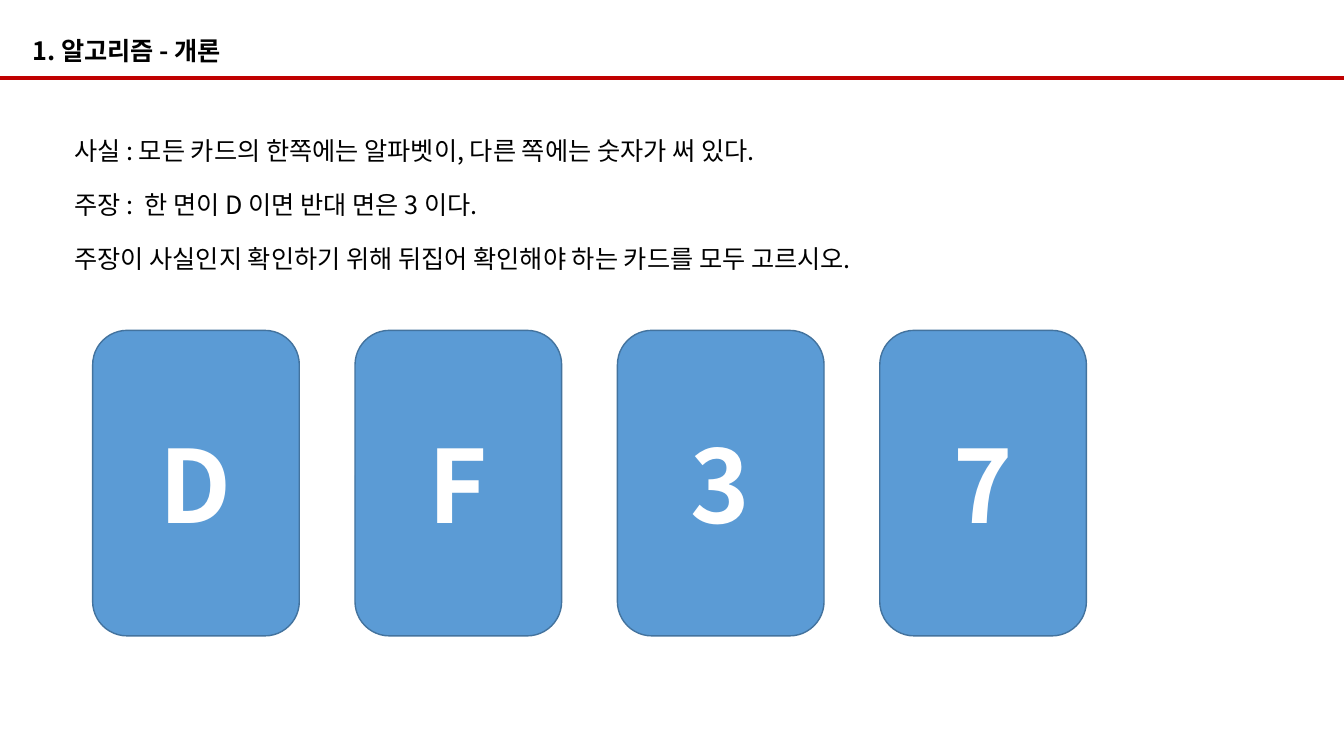
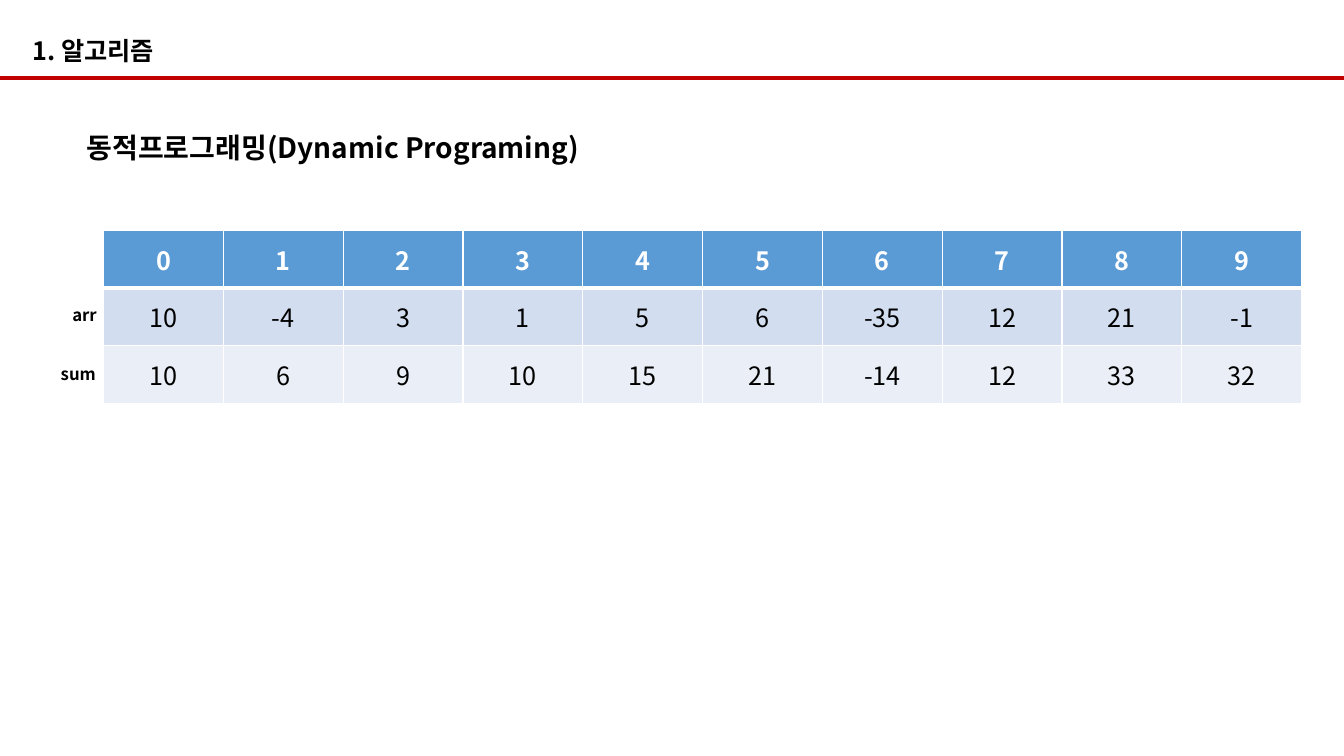
import dataclasses
from typing import Any

import lxml.etree
import pptx
import pptx.dml.color
import pptx.enum.shapes
import pptx.enum.text
import pptx.oxml
import pptx.oxml.ns
import pptx.util

Pt = pptx.util.Pt
ALIGN = pptx.enum.text.PP_ALIGN
MIDDLE = pptx.enum.text.MSO_ANCHOR.MIDDLE


@dataclasses.dataclass(frozen=True)
class Theme:
    font: str = "Noto Sans CJK KR"
    ink: str = "000000"
    white: str = "FFFFFF"
    rule: str = "C00000"
    blue: str = "5B9BD5"
    outline: str = "43739E"
    bands: tuple[str, str] = ("D2DEEF", "EAEFF7")
    label: float = 12
    body: float = 18
    heading: float = 20
    card: float = 72


@dataclasses.dataclass(frozen=True)
class Frame:
    left: float
    top: float
    width: float
    height: float

    def lengths(self) -> tuple[Any, ...]:
        return tuple(Pt(value) for value in dataclasses.astuple(self))


@dataclasses.dataclass(frozen=True)
class TextStyle:
    size: float
    color: str
    bold: bool = False
    align: Any = ALIGN.LEFT


@dataclasses.dataclass(frozen=True)
class Label:
    text: str
    frame: Frame


THEME = Theme()
PAGE_WIDTH = 960
PAGE_HEIGHT = 540
TITLE_FRAME = Frame(16, 21.6, 198, 28.8)
TITLE_STYLE = TextStyle(THEME.body, THEME.ink, True)
BODY_STYLE = TextStyle(THEME.body, THEME.ink)
HEADING_STYLE = TextStyle(THEME.heading, THEME.ink, True)
CARD_STYLE = TextStyle(THEME.card, THEME.white, True, ALIGN.CENTER)
LABEL_STYLE = TextStyle(THEME.label, THEME.ink, True, ALIGN.RIGHT)
HEADER_STYLE = TextStyle(THEME.body, THEME.white, True, ALIGN.CENTER)
CELL_STYLE = TextStyle(THEME.body, THEME.ink, False, ALIGN.CENTER)

RULE_TOP = 55.6
PARAGRAPH_GAP = 17
FIRST_CARD = Frame(66.2, 236, 147.6, 218.2)
CARD_PITCH = 187.4
CARDS = "DF37"
STATEMENTS = (
    "사실 : 모든 카드의 한쪽에는 알파벳이, 다른 쪽에는 숫자가 써 있다.",
    "주장 :  한 면이 D 이면 반대 면은 3 이다.",
    "주장이 사실인지 확인하기 위해 뒤집어 확인해야 하는 카드를 모두 고르시오.",
)
TABLE_FRAME = Frame(74, 164.4, 856, 123.6)
TABLE_ROWS = (
    tuple(range(10)),
    (10, -4, 3, 1, 5, 6, -35, 12, 21, -1),
    (10, 6, 9, 10, 15, 21, -14, 12, 33, 32),
)
ROW_LABELS = (
    Label("arr", Frame(37.4, 213.8, 38.9, 21.6)),
    Label("sum", Frame(17.3, 256, 58.3, 21.6)),
)


def rgb(color: str) -> pptx.dml.color.RGBColor:
    return pptx.dml.color.RGBColor.from_string(color)


def write_text(text_frame: Any, text: str, style: TextStyle) -> None:
    text_frame.text = text
    for paragraph in text_frame.paragraphs:
        paragraph.alignment = style.align
        for span in paragraph.runs:
            span.font.name = THEME.font
            span.font.size = Pt(style.size)
            span.font.bold = style.bold
            span.font.color.rgb = rgb(style.color)
            east_asian = lxml.etree.SubElement(
                span.font._element, pptx.oxml.ns.qn("a:ea")
            )
            east_asian.set("typeface", THEME.font)


def fill_box(box: Any, text: str, style: TextStyle) -> None:
    box.text_frame.word_wrap = True
    box.text_frame.auto_size = pptx.enum.text.MSO_AUTO_SIZE.NONE
    box.text_frame.vertical_anchor = MIDDLE
    write_text(box.text_frame, text, style)


def add_text(page: Any, text: str, frame: Frame, style: TextStyle) -> Any:
    box = page.shapes.add_textbox(*frame.lengths())
    fill_box(box, text, style)
    return box


def add_page(deck: Any, title: str) -> Any:
    page = deck.slides.add_slide(deck.slide_layouts.get_by_name("Title Only"))
    box = page.shapes.title
    box.left, box.top, box.width, box.height = TITLE_FRAME.lengths()
    fill_box(box, title, TITLE_STYLE)
    rule = page.shapes.add_connector(
        pptx.enum.shapes.MSO_CONNECTOR.STRAIGHT,
        Pt(0), Pt(RULE_TOP), Pt(PAGE_WIDTH), Pt(RULE_TOP),
    )
    rule.line.color.rgb = rgb(THEME.rule)
    rule.line.width = Pt(3)
    lxml.etree.SubElement(rule._element.spPr, pptx.oxml.ns.qn("a:effectLst"))
    return page


def add_card(page: Any, text: str, frame: Frame) -> None:
    card = page.shapes.add_shape(
        pptx.enum.shapes.MSO_SHAPE.ROUNDED_RECTANGLE, *frame.lengths()
    )
    card.shadow.inherit = False
    card.fill.solid()
    card.fill.fore_color.rgb = rgb(THEME.blue)
    card.line.color.rgb = rgb(THEME.outline)
    card.line.width = Pt(1)
    fill_box(card, text, CARD_STYLE)


def set_borders(cell: Any, widths: dict[str, float]) -> None:
    properties = cell._tc.get_or_add_tcPr()
    for position, (side, width) in enumerate(widths.items()):
        border = pptx.oxml.parse_xml(
            f'<a:{side} {pptx.oxml.ns.nsdecls("a")} w="{Pt(width)}"><a:solidFill>'
            f'<a:srgbClr val="{THEME.white}"/></a:solidFill></a:{side}>'
        )
        properties.insert(position, border)


def add_table(page: Any) -> None:
    row_count, column_count = len(TABLE_ROWS), len(TABLE_ROWS[0])
    table = page.shapes.add_table(
        row_count, column_count, *TABLE_FRAME.lengths()
    ).table
    table.horz_banding = False
    for column in table.columns:
        column.width = Pt(TABLE_FRAME.width / column_count)
    for row in table.rows:
        row.height = Pt(TABLE_FRAME.height / row_count)
    fills = (THEME.blue, *THEME.bands)
    for row_index, (values, color) in enumerate(zip(TABLE_ROWS, fills)):
        style = HEADER_STYLE if row_index == 0 else CELL_STYLE
        widths = {
            "lnL": 1,
            "lnR": 1,
            "lnT": 3 if row_index == 1 else 1,
            "lnB": 3 if row_index == 0 else 1,
        }
        for column_index, value in enumerate(values):
            cell = table.cell(row_index, column_index)
            cell.vertical_anchor = MIDDLE
            cell.fill.solid()
            cell.fill.fore_color.rgb = rgb(color)
            write_text(cell.text_frame, str(value), style)
            set_borders(cell, widths)


def build_card_page(deck: Any) -> None:
    page = add_page(deck, "1. 알고리즘 - 개론")
    box = add_text(
        page, "\n".join(STATEMENTS), Frame(46, 87.5, 853, 116.6), BODY_STYLE
    )
    for paragraph in box.text_frame.paragraphs[1:]:
        paragraph.space_before = Pt(PARAGRAPH_GAP)
    for index, text in enumerate(CARDS):
        left = FIRST_CARD.left + index * CARD_PITCH
        add_card(page, text, dataclasses.replace(FIRST_CARD, left=left))


def build_table_page(deck: Any) -> None:
    page = add_page(deck, "1. 알고리즘")
    add_text(
        page,
        "동적프로그래밍(Dynamic Programing)",
        Frame(54.7, 89.3, 805, 31.7),
        HEADING_STYLE,
    )
    add_table(page)
    for label in ROW_LABELS:
        add_text(page, label.text, label.frame, LABEL_STYLE)


def main() -> None:
    """Build the algorithm lesson and save it."""
    deck = pptx.Presentation()
    deck.slide_width = Pt(PAGE_WIDTH)
    deck.slide_height = Pt(PAGE_HEIGHT)
    build_card_page(deck)
    build_table_page(deck)
    deck.save("out.pptx")


if __name__ == "__main__":
    main()
